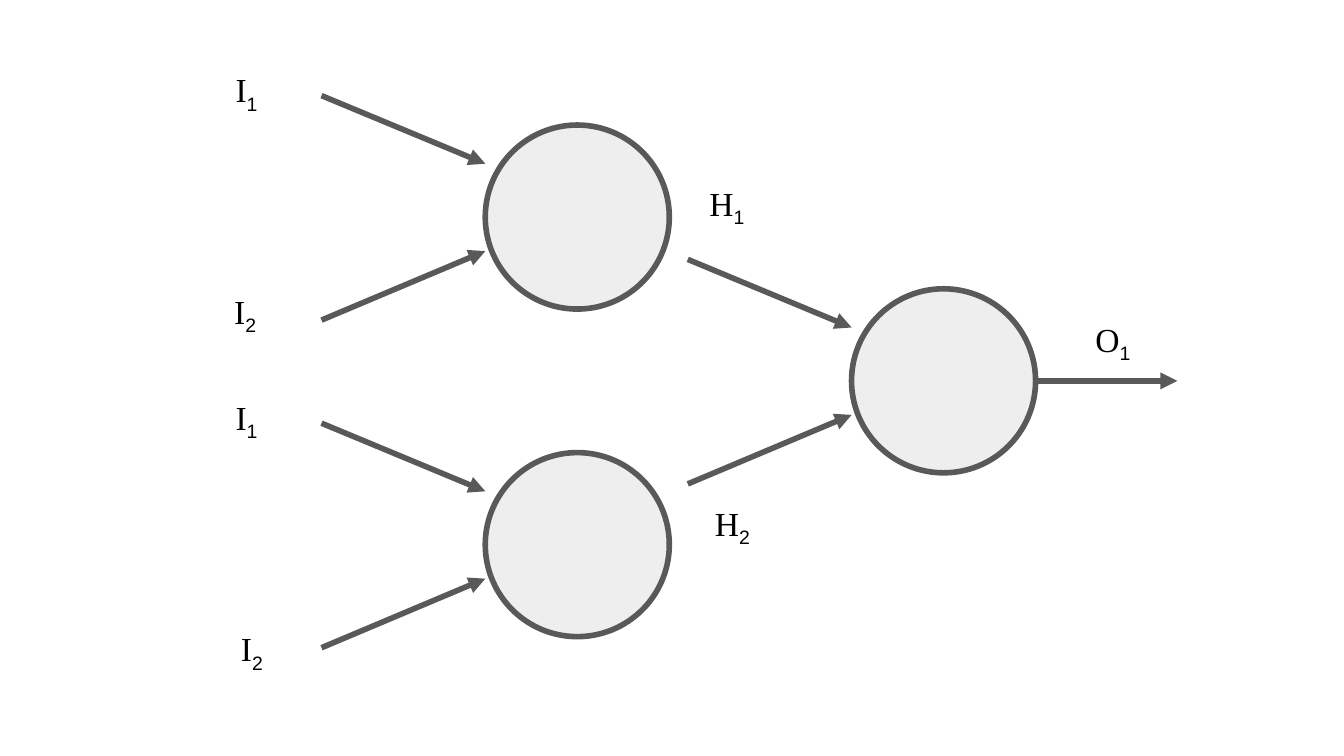
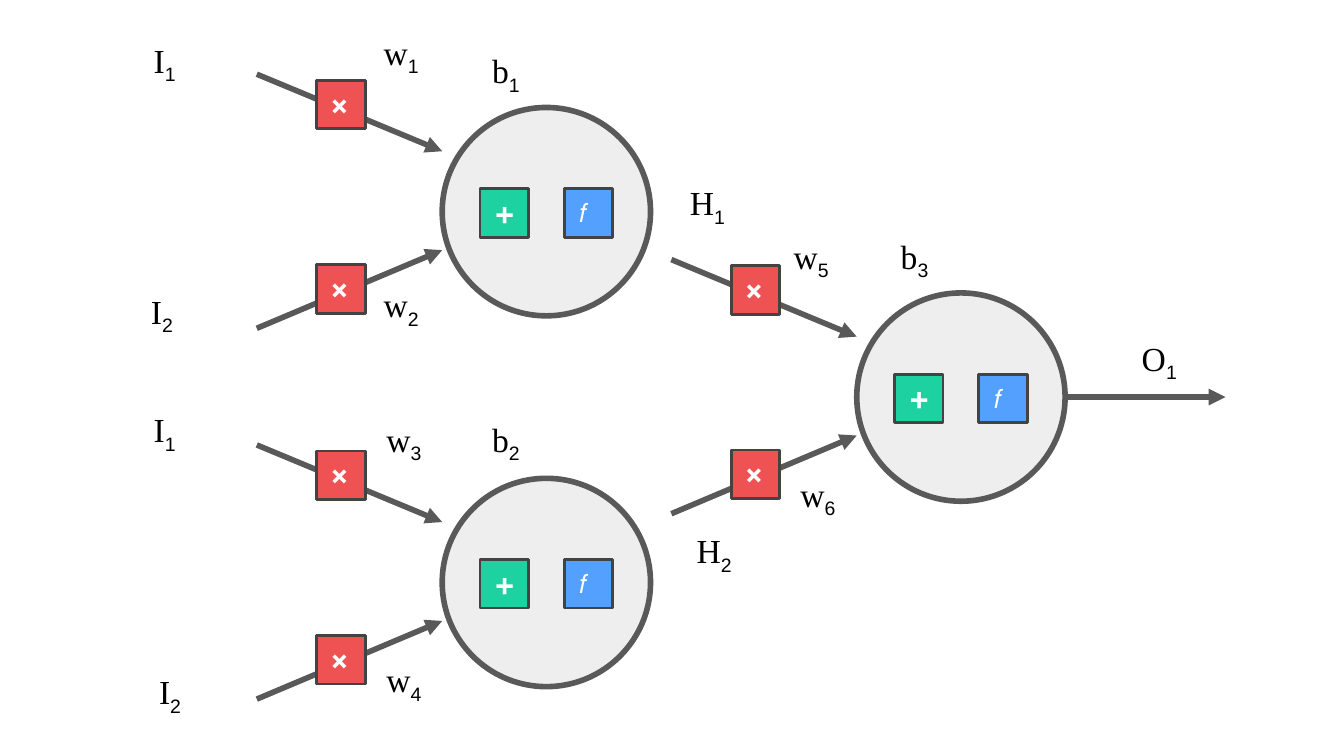
import pptx
import pptx.util
import pptx.dml.color
import pptx.enum.shapes
import pptx.enum.text
import lxml.etree
from dataclasses import dataclass

Pt = pptx.util.Pt
Kind = pptx.enum.shapes.MSO_SHAPE
Text = pptx.enum.text


@dataclass(frozen=True)
class Theme:
    ink: str = "000000"
    white: str = "FFFFFF"
    node: str = "EEEEEE"
    wire: str = "595959"
    edge: str = "434343"
    red: str = "EE5253"
    green: str = "1DD1A1"
    blue: str = "54A0FF"
    serif: str = "Times New Roman"
    sans: str = "Arial"
    sign: str = "Open Sans"
    big: float = 18
    small: float = 14
    thick: float = 3
    thin: float = 1.5
    pad: float = 7.2
    box: float = 26


THEME = Theme()

# Net geometry: size and corner of the first node; labels: letter, index, left, top.
SLIDES = [
    {
        "node": 98.6, "left": 260, "top": 67, "ops": False,
        "round": {"I": 41}, "wide": 50.4,
        "labels": [
            ("I", 1, 111.6, 28.8), ("I", 2, 110.9, 147.6),
            ("I", 1, 111.6, 204.5), ("I", 2, 114.5, 328.3),
            ("H", 1, 364.3, 85), ("H", 2, 367.2, 256.3),
            ("O", 1, 571, 157.7),
        ],
    },
    {
        "node": 111.6, "left": 236.9, "top": 57.6, "ops": True,
        "round": {"I": 38.2}, "wide": 49.7,
        "labels": [
            ("I", 1, 69.1, 14.4), ("I", 2, 67.7, 149),
            ("I", 1, 69.1, 212.4), ("I", 2, 72, 352.8),
            ("H", 1, 354.2, 85), ("H", 2, 357.8, 271.4),
            ("O", 1, 596.2, 168.5),
            ("w", 1, 190.1, 4.3), ("w", 2, 190.1, 139.7),
            ("w", 3, 191.5, 211.7), ("w", 4, 191.5, 340.6),
            ("w", 5, 409.7, 113.8), ("w", 6, 413.3, 241.2),
            ("b", 1, 246.2, 14.4), ("b", 2, 246.2, 211.7),
            ("b", 3, 465.1, 113.8),
        ],
    },
]

# Shares of the node size: node steps, and arrows from and to.
NODES = [(0, 0), (1.99, 0.89), (0, 1.78)]
WIRES = [(-0.89, -0.16, 0, 0.21), (-0.89, 1.06, 0, 0.685)]
EXIT = (1, 0.5, 1.77, 0.5)

# Operators by offset from the node, then the sign's offset from its box.
TIMES = {"fill": THEME.red, "sign": "+", "shift": (3.8, -2.5),
         "size": THEME.big, "turn": 45}
PLUS = {"fill": THEME.green, "sign": "+", "shift": (1, -4.5),
        "size": THEME.big, "turn": 0}
FUNC = {"fill": THEME.blue, "sign": "𝑓", "shift": (1, -2.9),
        "size": THEME.small, "turn": 0}
OPS = [(TIMES, -67.2, -14.6), (TIMES, -67.2, 84.2),
       (PLUS, 20.2, 43.5), (FUNC, 65.3, 43.5)]


def rgb(code):
    return pptx.dml.color.RGBColor.from_string(code)


def put(item, **vals):
    for name, val in vals.items():
        setattr(item, name, val)


def wire(slide, ends):
    line = slide.shapes.add_connector(
        pptx.enum.shapes.MSO_CONNECTOR.STRAIGHT, *map(Pt, ends))
    line.line.color.rgb = rgb(THEME.wire)
    line.line.width = Pt(THEME.thick)
    space = "{http://schemas.openxmlformats.org/drawingml/2006/main}"
    tail = lxml.etree.SubElement(line.line._get_or_add_ln(), space + "tailEnd")
    tail.set("type", "triangle")
    lxml.etree.SubElement(line._element.spPr, space + "effectLst")


def shape(slide, kind, x, y, size, fill=None, edge=None, width=0):
    item = slide.shapes.add_shape(kind, Pt(x), Pt(y), Pt(size), Pt(size))
    item.shadow.inherit = False
    if fill:
        item.fill.solid()
        item.fill.fore_color.rgb = rgb(fill)
        item.line.color.rgb = rgb(edge)
        item.line.width = Pt(width)
    else:
        item.fill.background()
        item.line.fill.background()
    return item


def write(item, runs, align, anchor):
    """Fill a shape with runs of text, font, size, colour, bold and baseline."""
    frame = item.text_frame
    pad = Pt(THEME.pad)
    put(frame, margin_left=pad, margin_right=pad, margin_top=pad,
        margin_bottom=pad, word_wrap=False, vertical_anchor=anchor)
    para = frame.paragraphs[0]
    para.alignment = align
    for text, face, size, tint, bold, base in runs:
        run = para.add_run()
        run.text = text
        put(run.font, name=face, size=Pt(size), bold=bold)
        run.font.color.rgb = rgb(tint)
        if base:
            run._r.get_or_add_rPr().set("baseline", str(base))


def label(slide, letter, index, x, y, size):
    item = shape(slide, Kind.OVAL, x, y, size)
    runs = [(letter, THEME.serif, THEME.big, THEME.ink, False, 0),
            (str(index), THEME.sans, THEME.big, THEME.ink, False, -25000)]
    write(item, runs, Text.PP_ALIGN.CENTER, Text.MSO_ANCHOR.MIDDLE)


def sign(slide, op, x, y):
    shape(slide, Kind.RECTANGLE, x, y, THEME.box, op["fill"],
          THEME.edge, THEME.thin)
    dx, dy = op["shift"]
    side = Pt(THEME.box)
    item = slide.shapes.add_textbox(Pt(x + dx), Pt(y + dy), side, side)
    item.rotation = op["turn"]
    runs = [(op["sign"], THEME.sign, op["size"], THEME.white, True, 0)]
    write(item, runs, Text.PP_ALIGN.LEFT, Text.MSO_ANCHOR.TOP)
    item.text_frame.word_wrap = True


def draw(slide, net):
    size = net["node"]
    for col, row in NODES:
        x, y = net["left"] + col * size, net["top"] + row * size
        for ends in WIRES + ([EXIT] if col else []):
            x1, y1, x2, y2 = (part * size for part in ends)
            wire(slide, (x + x1, y + y1, x + x2, y + y2))
        shape(slide, Kind.OVAL, x, y, size, THEME.node,
              THEME.wire, THEME.thick)
        if net["ops"]:
            for op, dx, dy in OPS:
                sign(slide, op, x + dx, y + dy)
    for letter, index, x, y in net["labels"]:
        label(slide, letter, index, x, y,
              net["round"].get(letter, net["wide"]))


def main():
    deck = pptx.Presentation()
    put(deck, slide_width=Pt(720), slide_height=Pt(405))
    for net in SLIDES:
        draw(deck.slides.add_slide(deck.slide_layouts[6]), net)
    deck.save("out.pptx")


if __name__ == "__main__":
    main()
